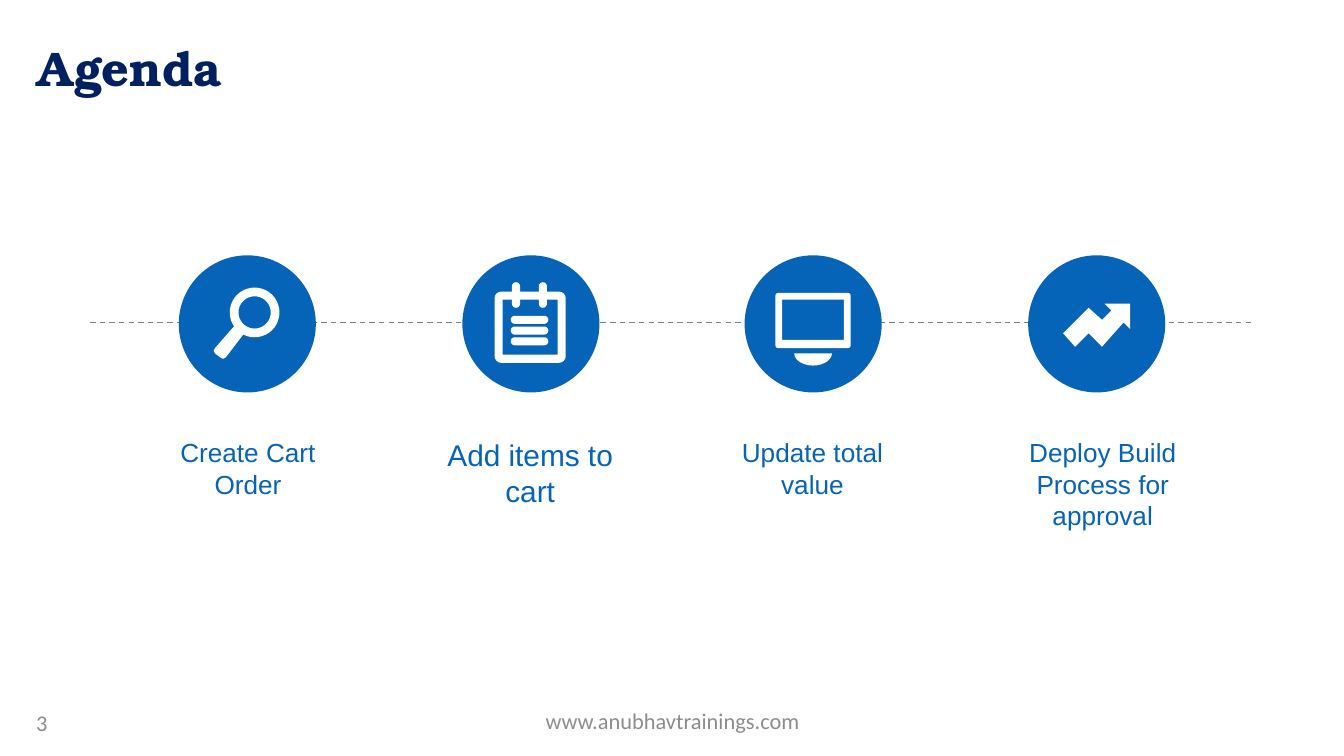
import math
from dataclasses import dataclass
from typing import Any

import pptx
import pptx.dml.color
import pptx.enum.dml
import pptx.enum.shapes
import pptx.enum.text
import pptx.oxml
import pptx.oxml.ns
import pptx.util

PX = 9144
BLUE = "0563B8"
WHITE = "FFFFFF"
GREY = "8C8C8C"
ALIGN = pptx.enum.text.PP_ALIGN
ANCHOR = pptx.enum.text.MSO_ANCHOR
FIT = pptx.enum.text.MSO_AUTO_SIZE

Point = tuple[float, float]
Outline = list[Point]


@dataclass(frozen=True)
class Step:
    label: str
    label_left: int
    label_height: int
    size: int
    icon: list[list[Outline]]


def px(length: float) -> int:
    return round(length * PX)


def colour(code: str) -> pptx.dml.color.RGBColor:
    return pptx.dml.color.RGBColor.from_string(code)


def assign(target: Any, values: dict[str, Any]) -> None:
    for name, value in values.items():
        setattr(target, name, value)


def arc(x: float, y: float, wide: float, high: float, start: int, end: int, pieces: int) -> Outline:
    angles = [math.radians(start + (end - start) * i / pieces) for i in range(pieces + 1)]
    return [(x + wide * math.cos(a), y + high * math.sin(a)) for a in angles]


def rounded(left: int, top: int, width: int, height: int, radius: int) -> Outline:
    right, bottom = left + width - radius, top + height - radius
    left, top = left + radius, top + radius
    corners = [(left, top, 180), (right, top, 270), (right, bottom, 0), (left, bottom, 90)]
    return [p for x, y, turn in corners for p in arc(x, y, radius, radius, turn, turn + 90, 4)]


def hole(left: int, top: int, right: int, bottom: int) -> Outline:
    return [(left, top), (left, bottom), (right, bottom), (right, top)]


def paint(shape: Any, code: str) -> None:
    shape.shadow.inherit = False
    shape.fill.solid()
    shape.fill.fore_color.rgb = colour(code)
    shape.line.fill.background()


def draw_outlines(shapes: Any, outlines: list[Outline]) -> None:
    scaled = [[(px(x), px(y)) for x, y in outline] for outline in outlines]
    builder = shapes.build_freeform(*scaled[0][0], scale=1.0)
    for index, outline in enumerate(scaled):
        if index:
            builder.move_to(*outline[0])
        builder.add_line_segments(outline[1:], close=True)
    paint(builder.convert_to_shape(), WHITE)


def add_text(page: Any, text: str, place: tuple[int, ...], align: Any, frame: dict[str, Any],
             font: dict[str, Any], code: str) -> None:
    box = page.shapes.add_textbox(*map(px, place))
    assign(box.text_frame, {"word_wrap": True, **frame})
    para = box.text_frame.paragraphs[0]
    para.alignment = align
    span = para.add_run()
    span.text = text
    assign(span.font, font)
    span.font.color.rgb = colour(code)


def add_title(page: Any, text: str) -> None:
    box = page.shapes.title
    assign(box, {"left": px(18), "top": px(23), "width": px(900), "height": px(58)})
    assign(box.text_frame, {"vertical_anchor": ANCHOR.TOP, "auto_size": FIT.NONE})
    para = box.text_frame.paragraphs[0]
    para.alignment = ALIGN.LEFT
    span = para.add_run()
    span.text = text
    assign(span.font, {"name": "TeX Gyre Bonum", "size": pptx.util.Pt(26), "bold": True})
    span.font.fill.gradient()
    span.font.fill.gradient_angle = 270
    for stop, code in zip(span.font.fill.gradient_stops, ("002060", "0070C0")):
        stop.color.rgb = colour(code)


def add_timeline(page: Any) -> None:
    line = page.shapes.add_connector(
        pptx.enum.shapes.MSO_CONNECTOR.STRAIGHT, px(67), px(240), px(933), px(240))
    assign(line.line, {"width": pptx.util.Pt(0.75),
                       "dash_style": pptx.enum.dml.MSO_LINE.DASH})
    line.line.color.rgb = colour("808080")
    properties = line._element.find(pptx.oxml.ns.qn("p:spPr"))
    properties.append(pptx.oxml.parse_xml(
        f'<a:effectLst {pptx.oxml.ns.nsdecls("a")}/>'))


def add_step(page: Any, index: int, step: Step) -> None:
    left = round(133 + index * 632 / 3)
    circle = page.shapes.add_shape(
        pptx.enum.shapes.MSO_SHAPE.OVAL, px(left), px(190), px(102), px(102))
    paint(circle, BLUE)
    group = page.shapes.add_group_shape()
    for outlines in step.icon:
        draw_outlines(group.shapes, outlines)
    add_text(page, step.label, (step.label_left, 320, 175, step.label_height), ALIGN.CENTER,
             {"auto_size": FIT.SHAPE_TO_FIT_TEXT},
             {"name": "Arial", "size": pptx.util.Pt(step.size)}, BLUE)


MAGNIFIER = [
    [arc(189.5, 232.5, 18.5, 18.5, 0, 360, 40), arc(189.5, 232.5, 12, 12, 360, 0, 36)],
    [[(175, 242), (177, 242), (181, 245), (182, 247), (181, 249), (168, 266),
      (166, 267), (164, 266), (160, 263), (159, 261), (160, 259), (174, 243)]],
]
NOTEPAD = [
    [rounded(368, 217, 53, 53, 5), hole(374, 223, 415, 264)],
    *[[rounded(x, 210, 6, 19, 3)] for x in (381, 401)],
    *[[rounded(380, y, 28, 6, 3)] for y in (235, 243, 251)],
]
MONITOR = [
    [rounded(577, 218, 56, 41, 2), hole(582, 223, 628, 253)],
    [arc(605, 263, 14, 9, 0, 180, 14)],
]
GROWTH = [
    [[(822, 226), (841, 226), (841, 245), (836, 240), (820, 258), (810, 248),
      (800, 258), (791, 248), (810, 229), (820, 238), (827, 231)]],
]
STEPS = [
    Step("Create Cart Order", 97, 57, 14, MAGNIFIER),
    Step("Add items to cart", 307, 64, 16, NOTEPAD),
    Step("Update total value", 517, 57, 14, MONITOR),
    Step("Deploy Build Process for approval", 733, 81, 14, GROWTH),
]


def main() -> None:
    deck = pptx.Presentation()
    assign(deck, {"slide_width": px(1000), "slide_height": px(1000) * 9 // 16})
    page = deck.slides.add_slide(deck.slide_layouts[5])
    add_title(page, "Agenda")
    add_timeline(page)
    footer = {"name": "Calibri", "size": pptx.util.Pt(12)}
    middle = {"vertical_anchor": ANCHOR.MIDDLE}
    add_text(page, "www.anubhavtrainings.com", (342, 521, 317, 30), ALIGN.CENTER, middle, footer, GREY)
    add_text(page, "3", (17, 523, 233, 30), ALIGN.LEFT, middle, footer, GREY)
    for index, step in enumerate(STEPS):
        add_step(page, index, step)
    deck.save("out.pptx")


if __name__ == "__main__":
    main()
